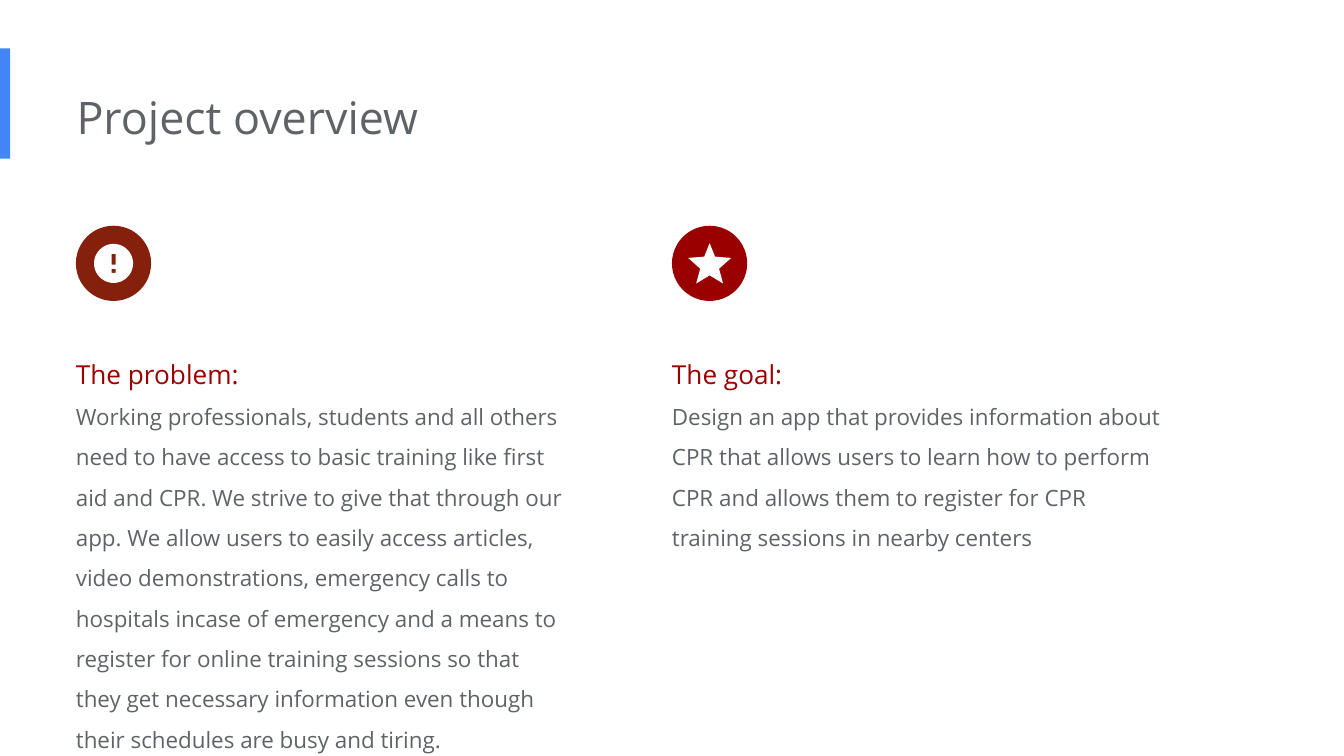
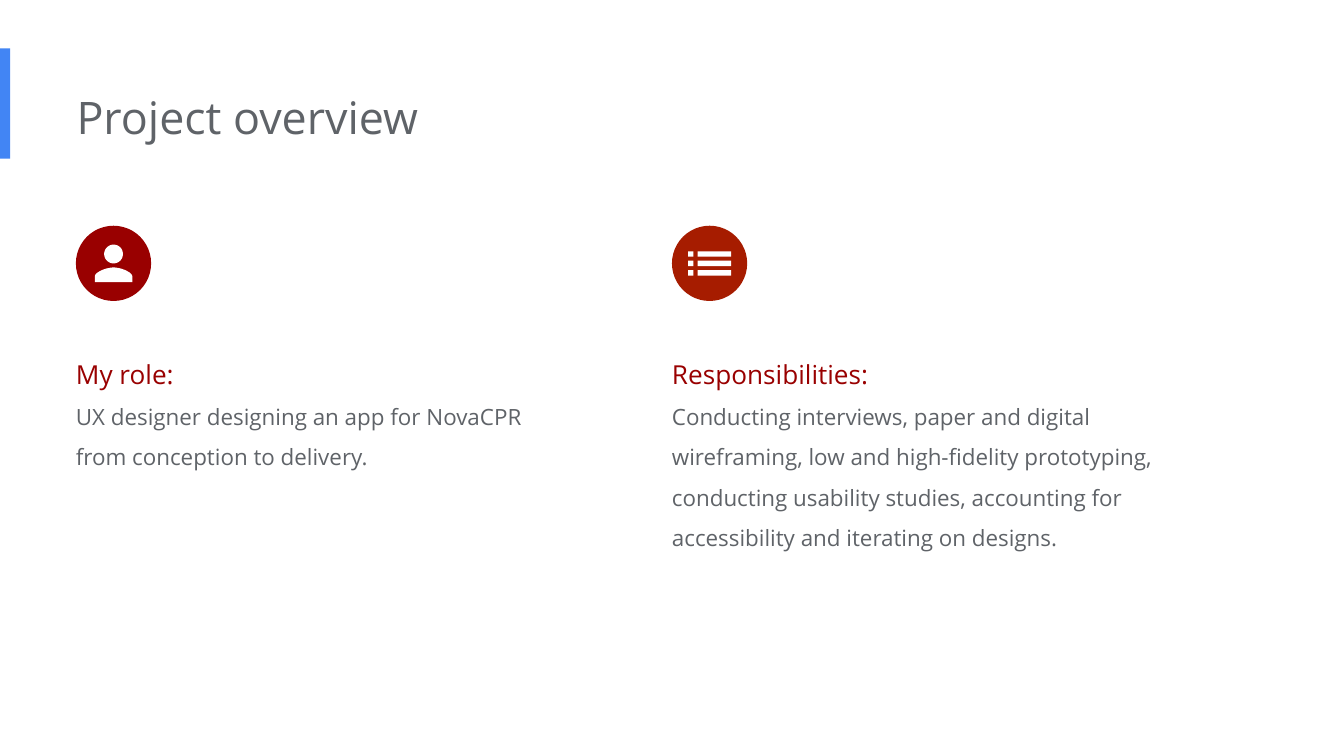
import math
from dataclasses import dataclass
from pptx import Presentation
from pptx import util as u
from pptx.dml.color import RGBColor
from pptx.enum import shapes, text

PX = 4572    # EMU per px, 200 px to the inch
FINE = 10    # icon outline units per px

# Content: title, then columns of (icon, disc colour, heading, body, box height)
SLIDES = [
    ("Project overview", [
        ("alert", "85200C", "The problem:",
         "Working professionals, students and all others need to have access to "
         "basic training like first aid and CPR. We strive to give that through our "
         "app. We allow users to easily access articles, video demonstrations, "
         "emergency calls to hospitals incase of emergency and a means to register "
         "for online training sessions so that they get necessary information even "
         "though their schedules are busy and tiring.", 636),
        ("star", "990000", "The goal:",
         "Design an app that provides information about CPR that allows users to "
         "learn how to perform CPR and allows them to register for CPR training "
         "sessions in nearby centers", 334),
    ]),
    ("Project overview", [
        ("person", "990000", "My role:",
         "UX designer designing an app for NovaCPR from conception to delivery.", 272),
        ("list", "A61C00", "Responsibilities:",
         "Conducting interviews, paper and digital wireframing, low and "
         "high-fidelity prototyping, conducting usability studies, accounting for "
         "accessibility and iterating on designs.", 394),
    ]),
]


@dataclass(frozen=True)
class Theme:
    font: str = "Open Sans"
    accent: str = "4285F4"
    heading: str = "990000"
    body: str = "5F6368"
    icon: str = "FFFFFF"
    title_pt: int = 24
    heading_pt: int = 14
    body_pt: int = 12


T = Theme()
COLUMN_LEFTS = (113, 1000)
DISC_TOP, DISC = 336, 112
BODY_TOP, BODY_WIDTH = 490, 754


# Icon outlines: closed contours in px around the disc centre
def box(x1, y1, x2, y2):
    return [(x1, y1), (x2, y1), (x2, y2), (x1, y2)]


def circle(cy, radius, steps=48):
    angles = [2 * math.pi * i / steps for i in range(steps)]
    return [(radius * math.cos(a), cy + radius * math.sin(a)) for a in angles]


def mirrored(right):
    return right + [(-x, y) for x, y in reversed(right)]


def curve(p0, p1, p2, p3, steps=16):
    ts = [i / steps for i in range(steps + 1)]
    return [tuple((1 - t) ** 3 * a + 3 * t * (1 - t) ** 2 * b
                  + 3 * t * t * (1 - t) * c + t ** 3 * d
                  for a, b, c, d in zip(p0, p1, p2, p3)) for t in ts]


ICONS = {
    "alert": [circle(0, 29), box(-3, -14, 3, 2), box(-3, 8, 3, 14)],
    "star": [mirrored([(0, -30), (8, -10), (32, -8), (14, 8), (20, 30), (0, 18)])],
    "person": [circle(-14, 14),
               mirrored(curve((0, 6), (9, 6), (28, 12), (28, 20)) + [(28, 28)])],
    "list": [box(x1, y - 4, x2, y + 4)
             for y in (-14, 0, 14) for x1, x2 in ((-32, -24), (-18, 32))],
}


# Drawing helpers
def paint(sp, color):
    sp.shadow.inherit = False
    sp.fill.solid()
    sp.fill.fore_color.rgb = RGBColor.from_string(color)
    sp.line.fill.background()


def add_solid(s, kind, color, *rect):
    paint(s.shapes.add_shape(kind, *(v * PX for v in rect)), color)


def add_text(s, rect, lines, spacing=None):
    sp = s.shapes.add_textbox(*(v * PX for v in rect))
    tf = sp.text_frame
    tf.word_wrap = True
    tf.auto_size = text.MSO_AUTO_SIZE.SHAPE_TO_FIT_TEXT
    tf.margin_left = 0
    tf.margin_top = tf.margin_right = tf.margin_bottom = u.Inches(0.1)
    for i, (words, size, color) in enumerate(lines):
        p = tf.add_paragraph() if i else tf.paragraphs[0]
        if spacing:
            p.line_spacing = spacing
        r = p.add_run()
        r.text = words
        r.font.name = T.font
        r.font.size = u.Pt(size)
        r.font.color.rgb = RGBColor.from_string(color)


def add_icon(s, name, cx, cy):
    contours = [[(x * FINE, y * FINE) for x, y in c] for c in ICONS[name]]
    first, *holes_or_parts = contours
    fb = s.shapes.build_freeform(*first[0], scale=PX / FINE)
    fb.add_line_segments(first[1:], close=True)
    for contour in holes_or_parts:
        fb.move_to(*contour[0])
        fb.add_line_segments(contour[1:], close=True)
    paint(fb.convert_to_shape(cx * PX, cy * PX), T.icon)


def add_column(s, left, icon, color, heading, body, height):
    add_text(s, (left, BODY_TOP, BODY_WIDTH, height),
             [(heading, T.heading_pt, T.heading), (body, T.body_pt, T.body)], 1.5)
    add_solid(s, shapes.MSO_SHAPE.OVAL, color, left, DISC_TOP, DISC, DISC)
    add_icon(s, icon, left + DISC // 2, DISC_TOP + DISC // 2)


def main():
    prs = Presentation()
    prs.slide_width, prs.slide_height = 2000 * PX, 1125 * PX
    for title, columns in SLIDES:
        s = prs.slides.add_slide(prs.slide_layouts[6])
        # Accent band and title
        add_solid(s, shapes.MSO_SHAPE.RECTANGLE, T.accent, 0, 72, 15, 164)
        add_text(s, (114, 114, 1346, 122), [(title, T.title_pt, T.body)])
        # Two columns
        for left, column in zip(COLUMN_LEFTS, columns):
            add_column(s, left, *column)
    prs.save("out.pptx")


if __name__ == "__main__":
    main()
